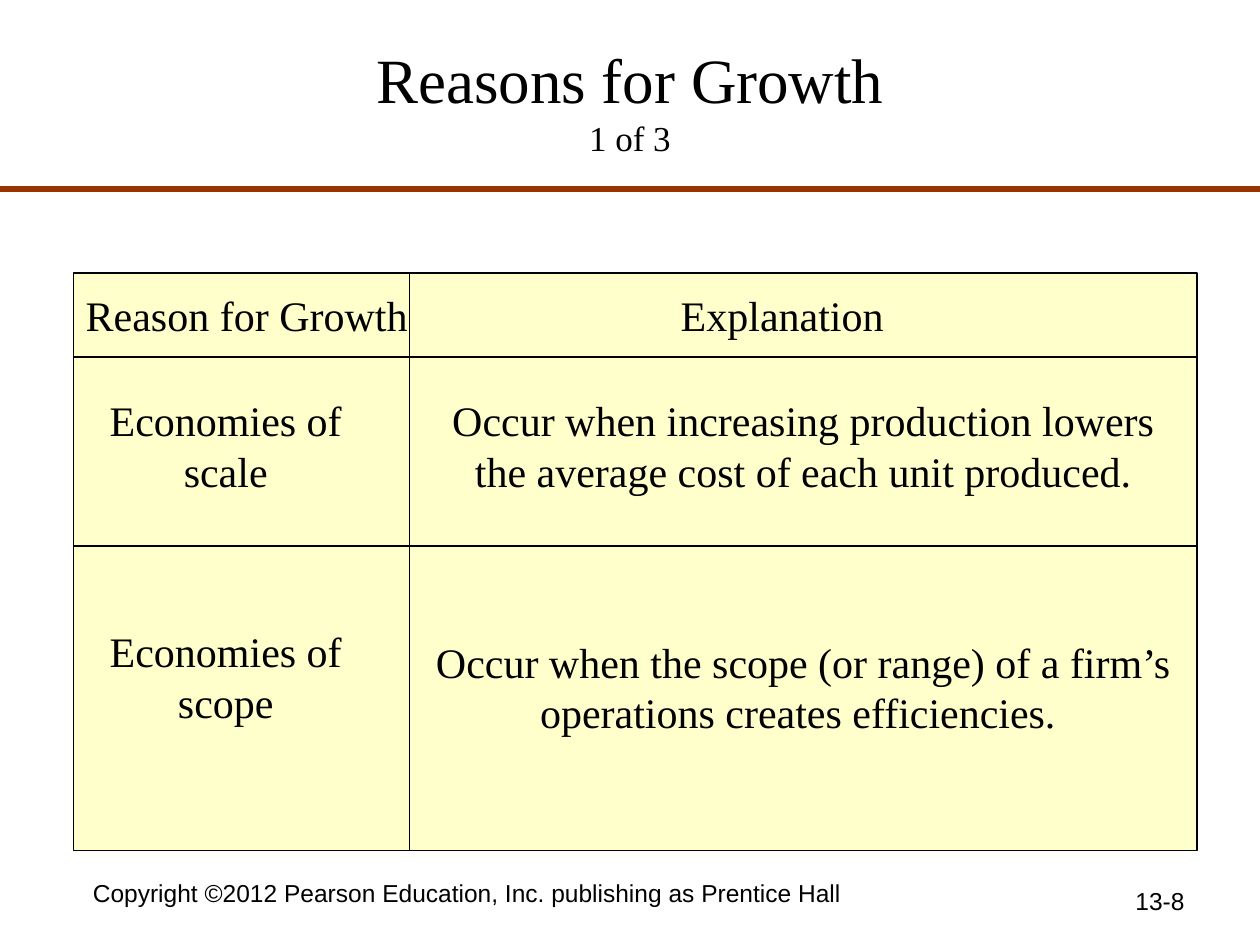
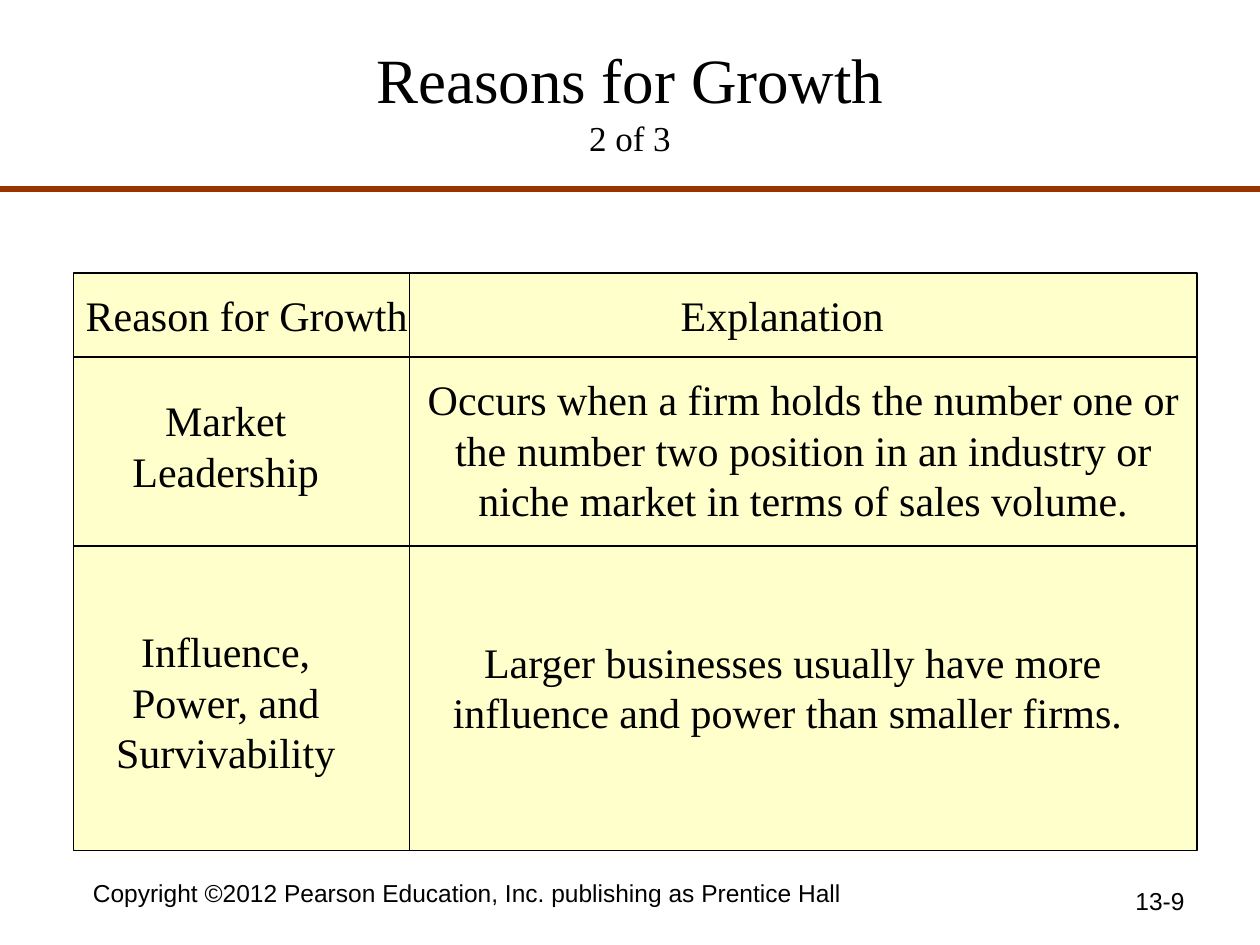
from lxml.etree import SubElement
from pptx import Presentation
from pptx.dml.color import RGBColor
from pptx.enum.shapes import MSO_CONNECTOR as CONN, MSO_SHAPE as SHAPE
from pptx.enum.text import MSO_ANCHOR as ANCHOR, MSO_AUTO_SIZE as AUTOSIZE, PP_ALIGN as ALIGN
from pptx.oxml.ns import qn
from pptx.util import Pt

SERIF, SANS = "Times New Roman", "Arial"
BLACK, BROWN, CREAM = "000000", "993300", "FFFFCC"
COPYRIGHT = "Copyright ©2012 Pearson Education, Inc. publishing as Prentice Hall"

GRID_LEFT, GRID_TOP, GRID_RIGHT, GRID_BOTTOM = 42, 156, 684, 486
COLUMN_X = 234
ROW_YS = [204, 312]
LINE_PITCH = 28.8

# Each entry is its text with left, top, width and number of lines.
HEADER = [("Reason for Growth", 36, 162, 210, 1), ("Explanation", 270, 162, 354, 1)]
REASON_SLIDES = [
    ("1 of 3", "13-8", [
        ("Economies of scale", 48, 222, 162, 2),
        ("Economies of scope", 48, 354, 162, 2),
        ("Occur when increasing production lowers the average cost "
         "of each unit produced.", 234, 222, 450, 2),
        ("Occur when the scope (or range) of a firm’s operations "
         "creates efficiencies. ", 234, 360, 450, 2),
    ]),
    ("2 of 3", "13-9", [
        ("Market Leadership", 48, 222, 162, 2),
        ("Influence, Power, and Survivability", 48, 354, 162, 3),
        ("Occurs when a firm holds the number one or the number two position "
         "in an industry or niche market in terms of sales volume.", 234, 210, 450, 3),
        ("Larger businesses usually have more influence and power "
         "than smaller firms. ", 228, 360, 450, 2),
    ]),
]


def color(hex_string):
    return RGBColor.from_string(hex_string)


def set_attrs(obj, **values):
    for name, value in values.items():
        setattr(obj, name, value)


def write(p, text, size, font=SERIF, align=ALIGN.CENTER):
    p.alignment = align
    r = p.add_run()
    r.text = text
    set_attrs(r.font, name=font, size=Pt(size), bold=False)
    r.font.color.rgb = color(BLACK)


def add_title(s, title, part):
    sp = s.shapes.title
    set_attrs(sp, left=Pt(36), top=Pt(12), width=Pt(648), height=Pt(90))
    tf = sp.text_frame
    set_attrs(tf, vertical_anchor=ANCHOR.MIDDLE, auto_size=AUTOSIZE.NONE, word_wrap=True)
    write(tf.paragraphs[0], title, 36)
    write(tf.add_paragraph(), part, 20)


def add_line(s, x1, y1, x2, y2, line_color=BLACK, width=0.75):
    line = s.shapes.add_connector(CONN.STRAIGHT, Pt(x1), Pt(y1), Pt(x2), Pt(y2))
    line.line.color.rgb = color(line_color)
    line.line.width = Pt(width)
    SubElement(line.element.spPr, qn("a:effectLst"))


def add_text(s, text, left, top, width, height, size, font=SERIF, align=ALIGN.CENTER):
    sp = s.shapes.add_textbox(Pt(left), Pt(top), Pt(width), Pt(height))
    sp.text_frame.word_wrap = True
    p = sp.text_frame.paragraphs[0]
    write(p, text, size, font, align)
    return p


def add_grid(s):
    sp = s.shapes.add_shape(SHAPE.RECTANGLE, Pt(GRID_LEFT), Pt(GRID_TOP),
                            Pt(GRID_RIGHT - GRID_LEFT), Pt(GRID_BOTTOM - GRID_TOP))
    sp.shadow.inherit = False
    sp.fill.solid()
    sp.fill.fore_color.rgb = color(CREAM)
    sp.line.color.rgb = color(BLACK)
    sp.line.width = Pt(0.75)
    for y in ROW_YS:
        add_line(s, GRID_LEFT, y, GRID_RIGHT, y)
    add_line(s, COLUMN_X, GRID_TOP, COLUMN_X, GRID_BOTTOM)


def add_entry(s, text, left, top, width, lines):
    p = add_text(s, text, left, top, width, lines * LINE_PITCH + 7.2, 24)
    p.line_spacing = Pt(LINE_PITCH)


def add_reason_slide(prs, part, number, entries):
    s = prs.slides.add_slide(prs.slide_layouts[5])
    add_title(s, "Reasons for Growth", part)
    add_line(s, 0, 108, 720, 108, BROWN, 3)
    add_grid(s)
    for entry in HEADER + entries:
        add_entry(s, *entry)
    add_text(s, COPYRIGHT, 36, 498, 462, 31, 14, SANS)
    add_text(s, number, 516, 502.5, 168, 37.5, 14, SANS, ALIGN.RIGHT)


def main():
    prs = Presentation()
    set_attrs(prs, slide_width=Pt(720), slide_height=Pt(540))
    for part, number, entries in REASON_SLIDES:
        add_reason_slide(prs, part, number, entries)
    prs.save("out.pptx")


if __name__ == "__main__":
    main()
